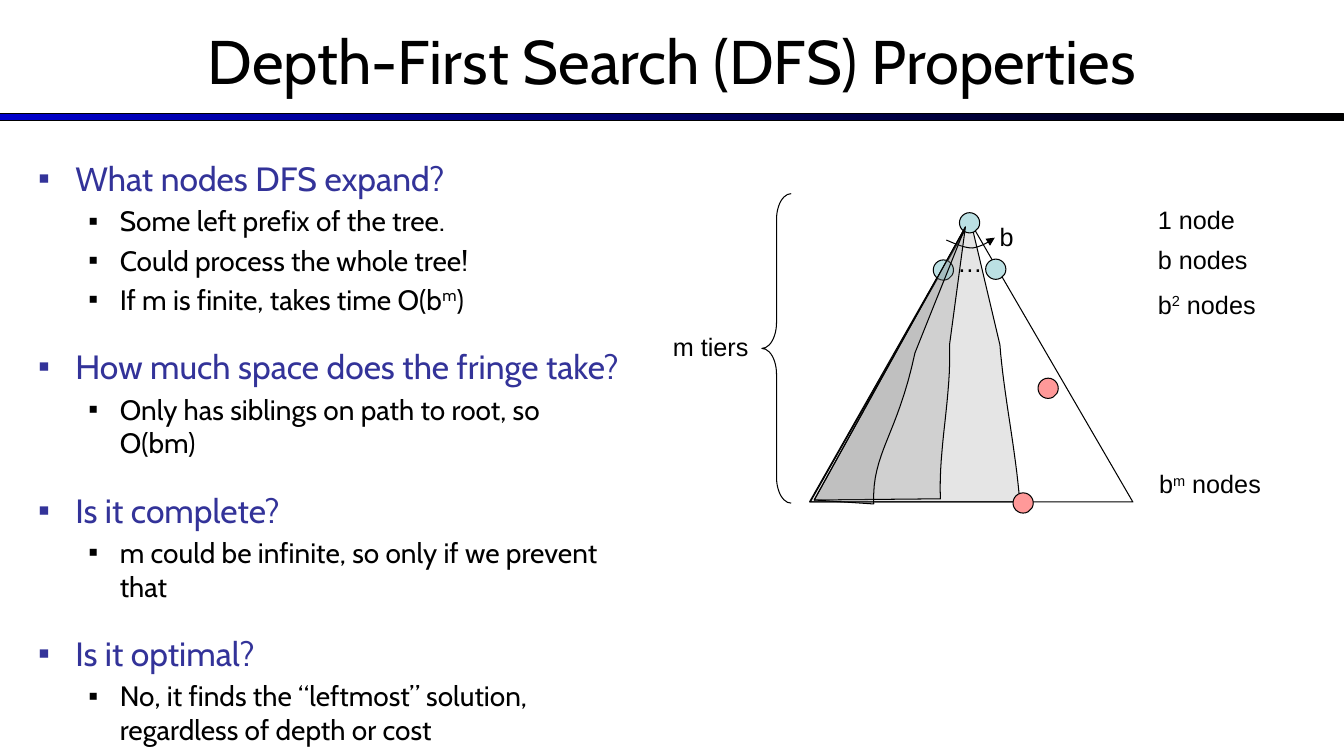
from dataclasses import dataclass

from lxml.etree import SubElement
from pptx import Presentation
from pptx.dml.color import RGBColor
from pptx.enum.shapes import MSO_SHAPE as Shape
from pptx.enum.text import MSO_ANCHOR as Anchor, MSO_AUTO_SIZE as AutoSize, PP_ALIGN as Align
from pptx.oxml.ns import qn
from pptx.util import Cm, Pt

BLACK, NAVY, BLUE = "000000", "333399", "0000CC"
GREY, FRONTIER, GOAL = "808080", "BBE0E3", "FF9999"
NODE_SIZE = 0.51
CURVE_STEPS = 16

Point = tuple[float, float]


@dataclass(frozen=True)
class Curve:
    """A cubic Bezier segment that continues from the point before it."""
    first_control: Point
    second_control: Point
    end: Point


@dataclass(frozen=True)
class Label:
    text: str
    left: float
    top: float
    width: float


@dataclass(frozen=True)
class Node:
    left: float
    top: float
    color: str


@dataclass(frozen=True)
class BulletStyle:
    size: float
    color: str
    margin: float
    hanging: float
    space_before: float


@dataclass(frozen=True)
class Topic:
    question: str
    answers: tuple[str, ...]


Outline = list[Point | Curve]

QUESTION = BulletStyle(24, NAVY, 0.94, 0.94, 21.6)
ANSWER = BulletStyle(20, BLACK, 2.06, 0.79, 4)

TOPICS = [
    Topic("What nodes DFS expand?", (
        "Some left prefix of the tree.",
        "Could process the whole tree!",
        "If m is finite, takes time O(b^m^)")),
    Topic("How much space does the fringe take?", (
        "Only has siblings on path to root, so O(bm)",)),
    Topic("Is it complete?", ("m could be infinite, so only if we prevent that",)),
    Topic("Is it optimal?", (
        "No, it finds the “leftmost” solution, regardless of depth or cost",)),
]

TREE: Outline = [(20.4, 12.65), (28.55, 12.65), (24.43, 5.56)]
WIDE_PREFIX: Outline = [
    (20.42, 12.65), (25.7, 12.65),
    Curve((25.6, 11.33), (25.3, 9.98), (25.2, 8.69)), (24.46, 5.56)]
MIDDLE_PREFIX: Outline = [
    (20.52, 12.6), (23.7, 12.57),
    Curve((23.65, 11.28), (23.98, 9.98), (23.93, 8.69)), (24.33, 5.72)]
NARROW_PREFIX: Outline = [
    (20.52, 12.6), (22.02, 12.7),
    Curve((21.97, 11.4), (22.61, 11), (23.06, 8.89)), (24.33, 5.72)]
BRANCHING_ARROW: Outline = [
    (23.85, 6.05),
    Curve((24.08, 6.15), (24.31, 6.25), (24.51, 6.25)),
    Curve((24.71, 6.22), (24.89, 6.12), (25.07, 5.99))]

NODES = [
    Node(24.18, 5.36, FRONTIER),
    Node(23.52, 6.55, FRONTIER),
    Node(24.84, 6.53, FRONTIER),
    Node(25.53, 12.42, GOAL),
]
LAST_GOAL = Node(26.16, 9.53, GOAL)

LABELS = [
    Label("…", 23.88, 6.12, 0.76),
    Label("b", 24.94, 5.44, 0.84),
    Label("1 node", 28.93, 5.03, 3.1),
    Label("b nodes", 28.93, 6.02, 3.1),
    Label("b^2^ nodes", 28.93, 7.16, 3.1),
    Label("b^m^ nodes", 28.96, 11.68, 4.06),
    Label("m tiers", 16.71, 8.23, 3.51),
]


def rgb(color: str) -> RGBColor:
    return RGBColor.from_string(color)


def write(paragraph, text: str, *, size: float = 18, font: str = "Arial",
          color: str = BLACK, align: Align = Align.LEFT) -> None:
    """Fill a paragraph; text between carets is superscript."""
    paragraph.alignment = align
    for index, part in enumerate(text.split("^")):
        if not part:
            continue
        run = paragraph.add_run()
        run.text = part
        run.font.size, run.font.name = Pt(size), font
        run.font.color.rgb = rgb(color)
        if index % 2:
            run.font._element.set("baseline", "30000")


def style(shape, fill: str | None = None, opacity: int = 100) -> None:
    shape.shadow.inherit = False
    shape.line.color.rgb = rgb(BLACK)
    shape.line.width = Pt(0.75)
    if fill is None:
        shape.fill.background()
        return
    shape.fill.solid()
    shape.fill.fore_color.rgb = rgb(fill)
    if opacity < 100:
        color_element = shape._element.spPr.find(qn("a:solidFill"))[0]
        SubElement(color_element, qn("a:alpha"), val=str(opacity * 1000))


def flatten(outline: Outline) -> list[Point]:
    """Turn the curves of an outline into short straight steps."""
    points: list[Point] = []
    for part in outline:
        if not isinstance(part, Curve):
            points.append(part)
            continue
        controls = (points[-1], part.first_control, part.second_control, part.end)
        for step in range(1, CURVE_STEPS + 1):
            t = step / CURVE_STEPS
            weights = ((1 - t) ** 3, 3 * t * (1 - t) ** 2, 3 * t * t * (1 - t), t ** 3)
            points.append(tuple(sum(w * c[axis] for w, c in zip(weights, controls))
                                for axis in (0, 1)))
    return points


def draw_outline(slide, outline: Outline, *, fill: str | None = None,
                 opacity: int = 100, close: bool = True):
    start, *rest = [(Cm(x), Cm(y)) for x, y in flatten(outline)]
    builder = slide.shapes.build_freeform(*start)
    builder.add_line_segments(rest, close=close)
    shape = builder.convert_to_shape()
    style(shape, fill, opacity)
    return shape


def draw_node(slide, node: Node) -> None:
    circle = slide.shapes.add_shape(Shape.OVAL, Cm(node.left), Cm(node.top),
                                    Cm(NODE_SIZE), Cm(NODE_SIZE))
    style(circle, node.color)


def draw_label(slide, label: Label) -> None:
    box = slide.shapes.add_textbox(Cm(label.left), Cm(label.top), Cm(label.width), Cm(1.02))
    box.text_frame.word_wrap = True
    write(box.text_frame.paragraphs[0], label.text)


def write_bullet(paragraph, text: str, bullet: BulletStyle, is_first: bool) -> None:
    properties = paragraph._p.get_or_add_pPr()
    properties.set("marL", str(Cm(bullet.margin)))
    properties.set("indent", str(-Cm(bullet.hanging)))
    bullet_color = SubElement(properties, qn("a:buClr"))
    SubElement(bullet_color, qn("a:srgbClr"), val=bullet.color)
    SubElement(properties, qn("a:buFont"), typeface="Arial")
    SubElement(properties, qn("a:buChar"), char="▪")
    paragraph.space_before = Pt(0 if is_first else bullet.space_before)
    write(paragraph, text, size=bullet.size, font="Cabin", color=bullet.color)


def draw_header(slide, width: Cm) -> None:
    title = slide.shapes.title
    title.left, title.top, title.width, title.height = Cm(0), Cm(-0.08), width, Cm(3.17)
    title.text_frame.auto_size = AutoSize.NONE
    title.text_frame.vertical_anchor = Anchor.MIDDLE
    write(title.text_frame.paragraphs[0], "Depth-First Search (DFS) Properties",
          size=44, font="Cabin", align=Align.CENTER)

    rule = slide.shapes.add_shape(Shape.RECTANGLE, Cm(0), Cm(2.87), width, Cm(0.18))
    style(rule)
    rule.fill.gradient()
    rule.fill.gradient_angle = 0
    for stop, color in zip(rule.fill.gradient_stops, (BLUE, BLACK)):
        stop.color.rgb = rgb(color)


def draw_topics(slide) -> None:
    frame = slide.shapes.add_textbox(Cm(0.71), Cm(3.78), Cm(15.16), Cm(13.13)).text_frame
    frame.word_wrap = True
    frame.margin_top = Cm(0.2)
    lines = [line for topic in TOPICS
             for line in ((topic.question, QUESTION),
                          *((answer, ANSWER) for answer in topic.answers))]
    for index, (text, bullet) in enumerate(lines):
        paragraph = frame.add_paragraph() if index else frame.paragraphs[0]
        write_bullet(paragraph, text, bullet, is_first=index == 0)


def draw_search_tree(slide) -> None:
    draw_outline(slide, WIDE_PREFIX, fill=GREY, opacity=20)
    draw_outline(slide, TREE)
    for node in NODES:
        draw_node(slide, node)
    arrow = draw_outline(slide, BRANCHING_ARROW, close=False)
    SubElement(arrow.line._get_or_add_ln(), qn("a:tailEnd"), type="triangle")
    tiers_brace = slide.shapes.add_shape(Shape.LEFT_BRACE, Cm(19.2), Cm(4.88), Cm(0.74), Cm(7.8))
    tiers_brace.adjustments[0] = 0.88
    style(tiers_brace)
    for label in LABELS:
        draw_label(slide, label)
    for prefix in (MIDDLE_PREFIX, NARROW_PREFIX):
        draw_outline(slide, prefix, fill=GREY, opacity=20)
    draw_node(slide, LAST_GOAL)


def main() -> None:
    deck = Presentation()
    deck.slide_width, deck.slide_height = Cm(33.87), Cm(19.05)
    slide = deck.slides.add_slide(deck.slide_layouts.get_by_name("Title Only"))
    draw_header(slide, deck.slide_width)
    draw_topics(slide)
    draw_search_tree(slide)
    deck.save("out.pptx")


if __name__ == "__main__":
    main()
